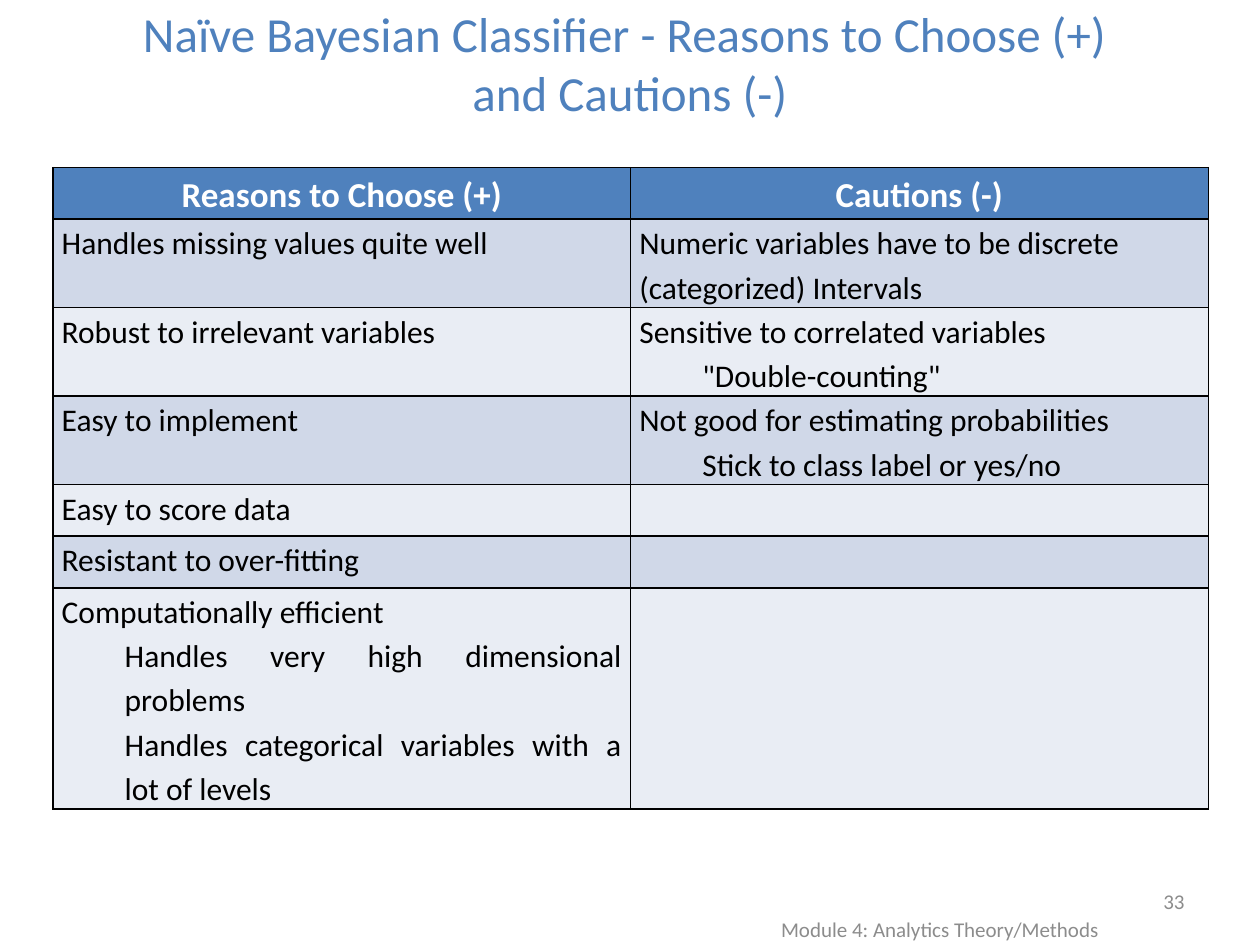
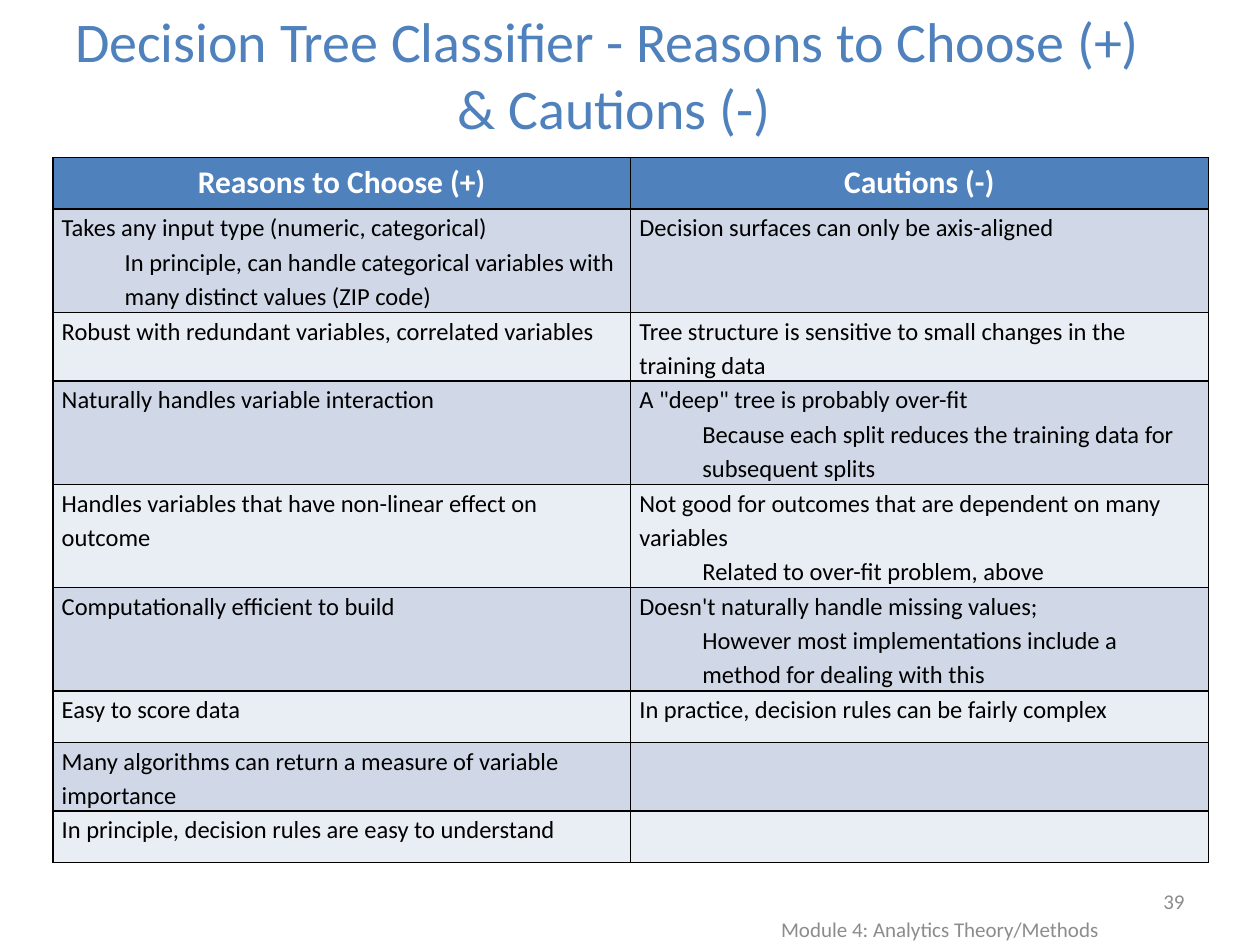
from lxml.etree import SubElement
from pptx import Presentation
from pptx.dml.color import RGBColor as Rgb
from pptx.enum.text import MSO_ANCHOR as Anchor, MSO_AUTO_SIZE as Auto, PP_ALIGN as Align
from pptx.oxml import parse_xml
from pptx.oxml.ns import nsdecls, qn
from pptx.util import Inches, Pt

# Content: a cell is a list of lines; lines after the first are indented
HEADS = ("Reasons to Choose (+)", "Cautions (-)")
FOOTER = "Module 4: Analytics Theory/Methods"
SLIDES = [
    dict(
        title=("Naïve Bayesian Classifier - Reasons to Choose (+)", " and Cautions (-)"),
        spot=(0.33, 0.08), size=28, number="33",
        top=1.33, head=20, body=18, align=Align.JUSTIFY,
        rows=[
            (0.70, ["Handles missing values quite well"],
             ["Numeric variables have to be discrete (categorized) Intervals"]),
            (0.70, ["Robust to irrelevant variables"],
             ["Sensitive to correlated variables", '"Double-counting"']),
            (0.70, ["Easy to implement"],
             ["Not good for estimating probabilities", "Stick to class label or yes/no"]),
            (0.41, ["Easy to score data"], []),
            (0.41, ["Resistant to over-fitting "], []),
            (1.75, ["Computationally efficient",
                    "Handles very high dimensional problems",
                    "Handles categorical variables with a lot of levels"], []),
        ],
    ),
    dict(
        title=("Decision Tree Classifier - Reasons to Choose (+) ", "& Cautions (-)"),
        spot=(0.25, 0.17), size=32, number="39",
        top=1.25, head=18, body=14, align=Align.LEFT,
        rows=[
            (0.82, ["Takes any input type (numeric, categorical)",
                    "In principle, can handle categorical variables with many "
                    "distinct values (ZIP code)"],
             ["Decision surfaces can only be axis-aligned"]),
            (0.54, ["Robust with redundant variables, correlated variables"],
             ["Tree structure is sensitive to small changes in the training data"]),
            (0.82, ["Naturally handles variable interaction"],
             ['A "deep" tree is probably over-fit',
              "Because each split reduces the training data for subsequent splits"]),
            (0.82, ["Handles variables that have non-linear effect on outcome"],
             ["Not good for outcomes that are dependent on many variables",
              "Related to over-fit problem, above"]),
            (0.82, ["Computationally efficient to build"],
             ["Doesn't naturally handle missing values;",
              "However most implementations include a method for dealing with this"]),
            (0.41, ["Easy to score data"],
             ["In practice, decision rules can be fairly complex"]),
            (0.54, ["Many algorithms can return a measure of variable importance"], []),
            (0.41, ["In principle, decision rules are easy to understand"], []),
        ],
    ),
]

# Shared look
FONT = "Calibri"
HEX = dict(blue="4F81BD", dark="D0D8E8", light="E9EDF4",
           white="FFFFFF", black="000000", gray="8C8C8C")
LEFT, WIDE, HEAD_H = 0.42, 9.17, 0.41
INDENT = 0.5


def color(name):
    return Rgb.from_string(HEX[name])


def add_run(para, text, size, tint, bold=False):
    run = para.add_run()
    run.text = text
    font = run.font
    font.name, font.size, font.bold = FONT, Pt(size), bold
    font.color.rgb = color(tint)


def add_note(slide, box, text, align):
    frame = slide.shapes.add_textbox(*map(Inches, box)).text_frame
    frame.word_wrap = True
    frame.vertical_anchor = Anchor.MIDDLE
    para = frame.paragraphs[0]
    para.alignment = align
    add_run(para, text, 12, "gray")


def set_title(slide, lines, spot, size):
    title = slide.shapes.title
    title.left, title.top = map(Inches, spot)
    title.width, title.height = Inches(9.25), Inches(0.83)
    frame = title.text_frame
    frame.word_wrap, frame.auto_size = True, Auto.NONE
    frame.vertical_anchor = Anchor.MIDDLE
    para = frame.paragraphs[0]
    para.alignment = Align.CENTER
    for i, line in enumerate(lines):
        if i:
            para.add_line_break()
        add_run(para, line, size, "blue")


def add_edges(cell):
    props = cell._tc.get_or_add_tcPr()
    for i, side in enumerate("LRTB"):
        edge = parse_xml(f'<a:ln{side} w="12700" {nsdecls("a")}/>')
        fill = SubElement(edge, qn("a:solidFill"))
        SubElement(fill, qn("a:srgbClr")).set("val", HEX["black"])
        props.insert(i, edge)


def fill_cell(cell, lines, fill, align, size, tint, bold=False):
    cell.margin_left = cell.margin_right = Inches(0.07)
    cell.margin_top = cell.margin_bottom = 0
    cell.fill.solid()
    cell.fill.fore_color.rgb = color(fill)
    add_edges(cell)
    frame = cell.text_frame
    for i, line in enumerate(lines):
        para = frame.add_paragraph() if i else frame.paragraphs[0]
        para.alignment, para.line_spacing = align, 1.15
        if i:
            para._p.get_or_add_pPr().set("marL", str(Inches(INDENT)))
        add_run(para, line, size, tint, bold)


def add_grid(slide, page):
    rows = page["rows"]
    highs = [HEAD_H] + [row[0] for row in rows]
    box = (LEFT, page["top"], WIDE, sum(highs))
    grid = slide.shapes.add_table(len(highs), len(HEADS), *map(Inches, box)).table
    grid.horz_banding = False
    for row, high in zip(grid.rows, highs):
        row.height = Inches(high)
    for c, head in enumerate(HEADS):
        fill_cell(grid.cell(0, c), [head], "blue", Align.CENTER,
                  page["head"], "white", True)
    # Alternate the body bands
    for r, (_, *cells) in enumerate(rows, 1):
        band = "dark" if r % 2 else "light"
        for c, (lines, align) in enumerate(zip(cells, (page["align"], Align.LEFT))):
            fill_cell(grid.cell(r, c), lines, band, align, page["body"], "black")


def main():
    deck = Presentation()
    deck.slide_width, deck.slide_height = Inches(10), Inches(7.5)
    for page in SLIDES:
        slide = deck.slides.add_slide(deck.slide_layouts[5])
        set_title(slide, page["title"], page["spot"], page["size"])
        add_grid(slide, page)
        add_note(slide, (5.17, 7.25, 4.58, 0.25), FOOTER, Align.CENTER)
        add_note(slide, (7.17, 6.95, 2.33, 0.4), page["number"], Align.RIGHT)
    deck.save("out.pptx")


if __name__ == "__main__":
    main()
